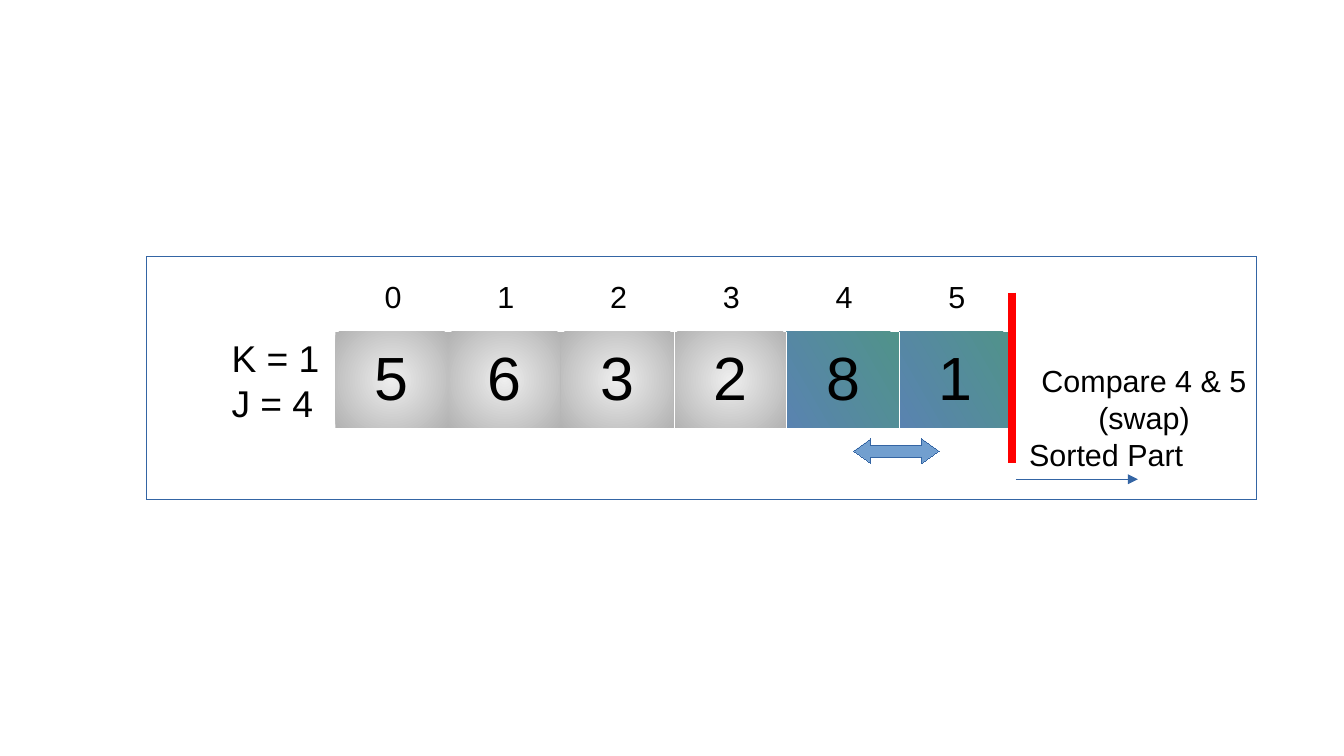
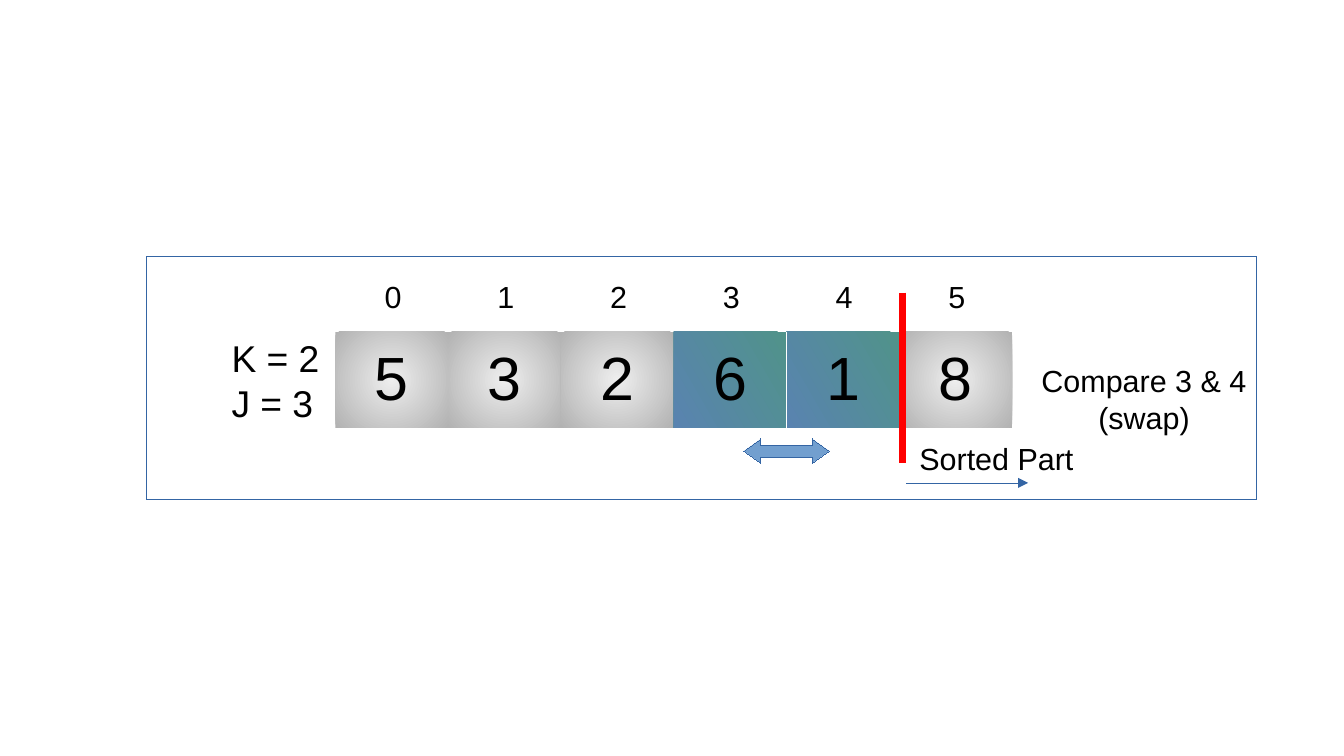
from dataclasses import dataclass

from pptx import Presentation
from pptx.dml.color import RGBColor
from pptx.enum.shapes import MSO_CONNECTOR as Connector, MSO_SHAPE as Preset
from pptx.enum.text import MSO_ANCHOR as Anchor, MSO_AUTO_SIZE as AutoSize, PP_ALIGN as Align
from pptx.oxml import parse_xml
from pptx.oxml.ns import nsdecls, qn
from pptx.util import Pt

PX = 9144
HAIRLINE = 0.01
NO_STYLE = "{2D5ABB26-0587-4C30-8999-92F81FD0307C}"


@dataclass(frozen=True)
class Theme:
    font: str = "Arial"
    ink: str = "000000"
    paper: str = "FFFFFF"
    outline: str = "3465A4"
    swap: str = "729FCF"
    boundary: str = "FF0000"
    plain: tuple = ("EEEEEE", "B2B2B2")
    active: tuple = ("50938A", "5983B0")
    label: int = 18
    counter: int = 22
    value: int = 36


theme = Theme()
PLAIN_SHADE = '<a:path path="circle"><a:fillToRect l="50000" t="50000" r="50000" b="50000"/></a:path>'
ACTIVE_SHADE = '<a:lin ang="9000000" scaled="0"/>'


def write(frame, text, size=theme.label, align=Align.LEFT):
    frame.text = text
    for paragraph in frame.paragraphs:
        paragraph.alignment = align
        paragraph.font.name = theme.font
        paragraph.font.size = Pt(size)
        paragraph.font.color.rgb = RGBColor.from_string(theme.ink)


def add_row(slide, box, texts, size, anchor):
    table = slide.shapes.add_table(1, len(texts), *[n * PX for n in box]).table
    table.first_row = table.horz_banding = False
    table._tbl.tblPr.find(qn("a:tableStyleId")).text = NO_STYLE
    for cell, text in zip(table.iter_cells(), texts):
        write(cell.text_frame, text, size=size, align=Align.CENTER)
        cell.vertical_anchor = anchor
    return list(table.iter_cells())


steps = [
    dict(values="563281", compared=(4, 5), seams=(3, 4, 5), counters="K = 1\nJ = 4",
         boundary=830, swap=700, sorted_top=353),
    dict(values="532618", compared=(3, 4), seams=(4,), counters="K = 2\nJ = 3",
         boundary=740, swap=610, sorted_top=356),
]

presentation = Presentation()
presentation.slide_width, presentation.slide_height = 1102 * PX, 620 * PX

for step in steps:
    slide = presentation.slides.add_slide(presentation.slide_layouts[6])
    boundary, sorted_top = step["boundary"], step["sorted_top"]

    presets = [
        (Preset.RECTANGLE, (120, 210, 910, 200), theme.paper, ()),
        (Preset.LEFT_RIGHT_ARROW, (step["swap"], 360, 70, 20), theme.swap, (0.5, 0.7)),
    ]
    for preset, box, fill, adjustments in presets:
        shape = slide.shapes.add_shape(preset, *[n * PX for n in box])
        shape.shadow.inherit = False
        shape.fill.solid()
        shape.fill.fore_color.rgb = RGBColor.from_string(fill)
        shape.line.color.rgb = RGBColor.from_string(theme.outline)
        shape.line.width = Pt(HAIRLINE)
        for index, adjustment in enumerate(adjustments):
            shape.adjustments[index] = adjustment

    cells = add_row(slide, (275, 272, 555, 79), step["values"], theme.value, Anchor.MIDDLE)
    for index, cell in enumerate(cells):
        active = index in step["compared"]
        start, end = theme.active if active else theme.plain
        shade = ACTIVE_SHADE if active else PLAIN_SHADE
        properties = cell._tc.get_or_add_tcPr()
        for side, edge in (("lnL", index), ("lnR", index + 1)):
            if edge in step["seams"]:
                properties.append(parse_xml(
                    f'<a:{side} {nsdecls("a")} w="762"><a:solidFill>'
                    f'<a:srgbClr val="{theme.paper}"/></a:solidFill></a:{side}>'))
        properties.append(parse_xml(
            f'<a:gradFill {nsdecls("a")} rotWithShape="1"><a:gsLst>'
            f'<a:gs pos="0"><a:srgbClr val="{start}"/></a:gs>'
            f'<a:gs pos="100000"><a:srgbClr val="{end}"/></a:gs>'
            f'</a:gsLst>{shade}</a:gradFill>'))

    for cell in add_row(slide, (276, 184, 555, 79), "012345", theme.label, Anchor.BOTTOM):
        cell.fill.background()

    lines = [
        ((boundary, 240, boundary, 380), theme.boundary, 4.5, False),
        ((boundary + 3, sorted_top + 40, boundary + 103, sorted_top + 40), theme.outline, HAIRLINE, True),
    ]
    for ends, color, width, has_head in lines:
        connector = slide.shapes.add_connector(Connector.STRAIGHT, *[n * PX for n in ends])
        connector.line.color.rgb = RGBColor.from_string(color)
        connector.line.width = Pt(width)
        if has_head:
            connector.line._get_or_add_ln().append(
                parse_xml(f'<a:tailEnd {nsdecls("a")} type="triangle"/>'))
        connector._element.spPr.append(parse_xml(f'<a:effectLst {nsdecls("a")}/>'))

    first, second = step["compared"]
    labels = [
        ((180, 270, 92, 78), step["counters"], theme.counter, Align.LEFT),
        ((844, 292, 188, 66), f"Compare {first} & {second}\n(swap)", theme.label, Align.CENTER),
        ((boundary + 4, sorted_top, 156, 38), "Sorted Part", theme.label, Align.LEFT),
    ]
    for box, text, size, align in labels:
        frame = slide.shapes.add_textbox(*[n * PX for n in box]).text_frame
        frame.word_wrap = False
        frame.auto_size = AutoSize.SHAPE_TO_FIT_TEXT
        write(frame, text, size=size, align=align)

presentation.save("out.pptx")
